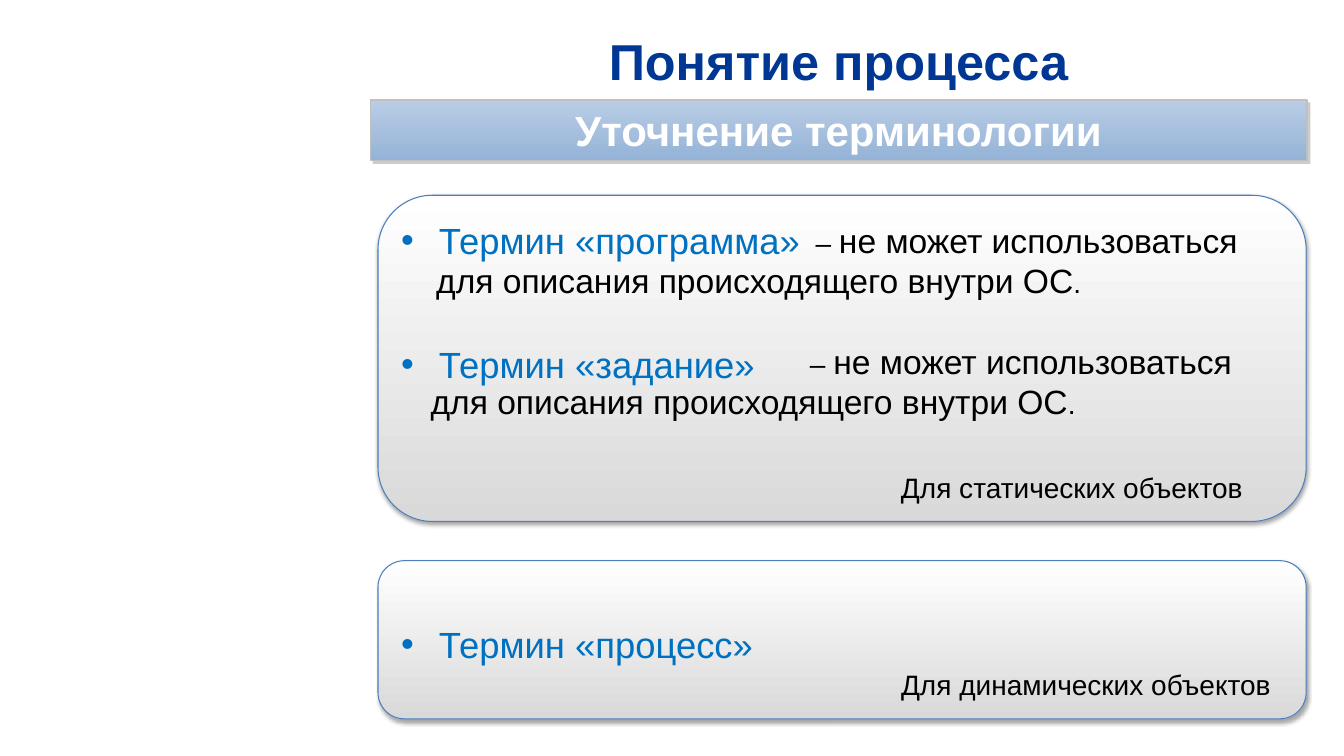
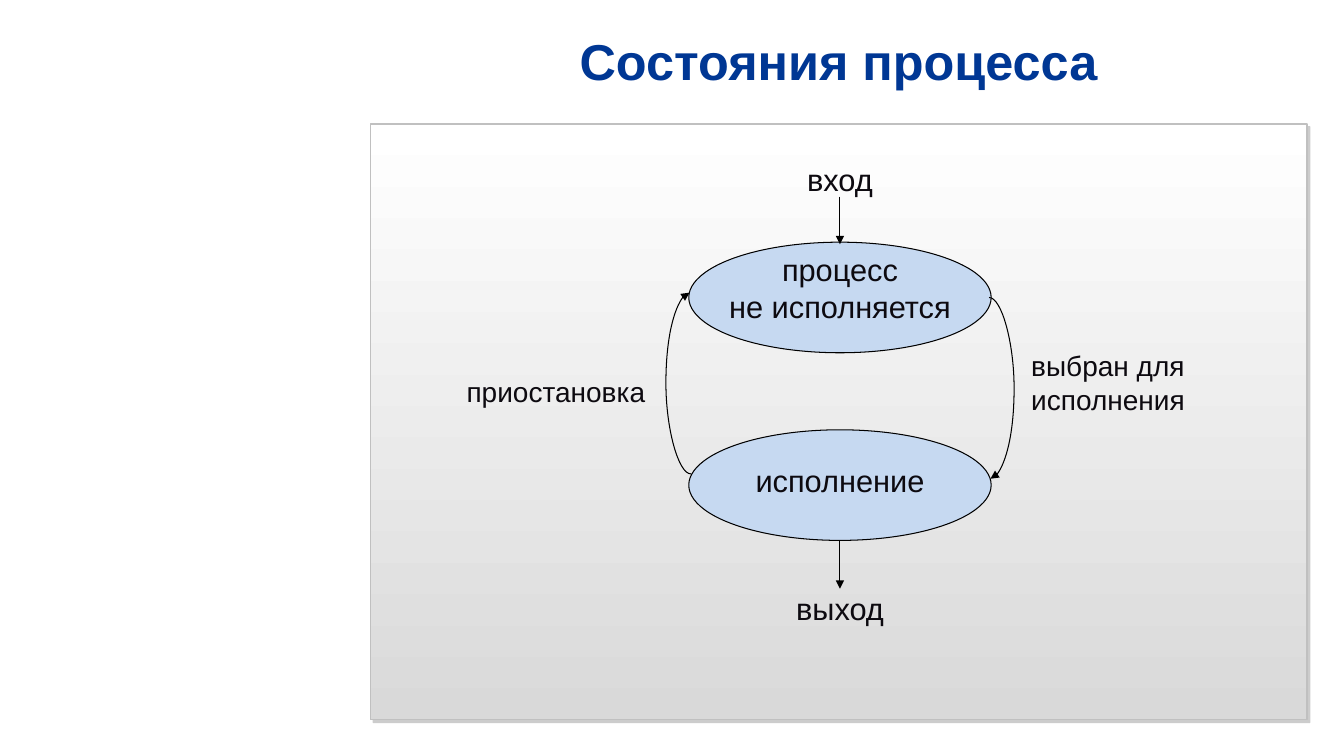
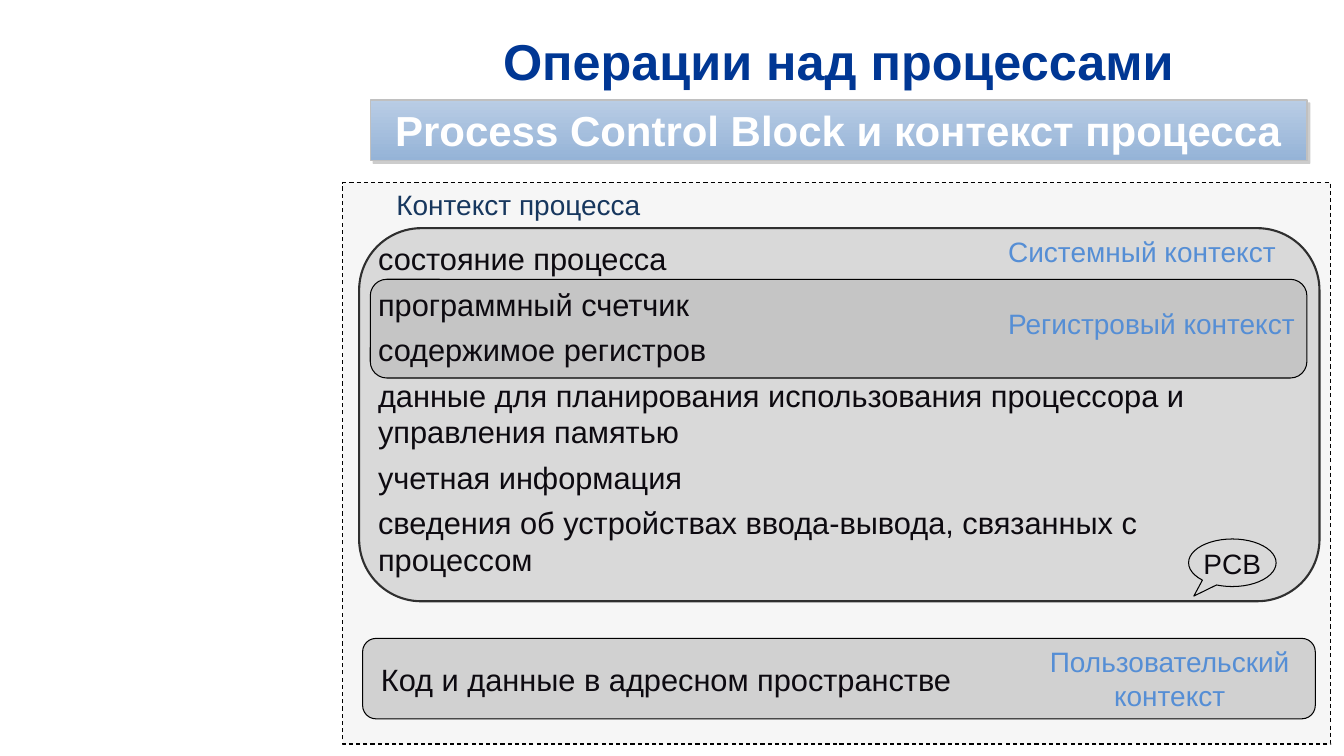
from pptx import Presentation
from pptx.dml.color import RGBColor
from pptx.enum import dml, shapes, text
from pptx.oxml import ns
from pptx.util import Pt
from lxml import etree

COLORS = {
    "title": "003794", "white": "FFFFFF", "black": "000000", "ink": "0D0A10",
    "panel": "D9D9D9", "term": "0070C0", "label": "558ED5", "navy": "17375E",
    "edge": "C0C0C0", "card_edge": "4B7EBC", "shade": "808080",
    "band_top": "B9CDE5", "band_end": "95B3D7", "state": "C6D9F1",
    "registers": "595959",
}
FONT = "Arial"
LEFT, WIDTH = 264.5, 669
CARD_LEFT, CARD_WIDTH = 270, 663
AXIS = 600
SHAPE = shapes.MSO_SHAPE
ALIGN = text.PP_ALIGN
ANCHOR = text.MSO_ANCHOR
PANEL_FILL = ("white", "panel")
# colour, opacity %, blur, distance, angle
HARD_SHADOW = ("shade", 40, 0, 3, 45)
SOFT_SHADOW = ("black", 35, 3.1, 1.8, 90)


def rgb(name):
    return RGBColor.from_string(COLORS[name])


def add_child(parent, tag, **attributes):
    child = etree.SubElement(parent, ns.qn(tag))
    for key, value in attributes.items():
        child.set(key, str(value))
    return child


def write(box, paragraphs, size, color, align=ALIGN.LEFT, bold=False,
          anchor=ANCHOR.TOP, wrap=True, gap=0):
    """Fill a frame; a paragraph is a string or a list of (text, size) runs."""
    frame = box.text_frame
    frame.word_wrap = wrap
    frame.vertical_anchor = anchor
    for index, content in enumerate(paragraphs):
        para = frame.add_paragraph() if index else frame.paragraphs[0]
        para.alignment = align
        if index:
            para.space_before = Pt(gap)
        runs = [(content, size)] if isinstance(content, str) else content
        for words, points in runs:
            span = para.add_run()
            span.text = words
            span.font.name = FONT
            span.font.size = Pt(points)
            span.font.bold = bold
            span.font.color.rgb = rgb(color)
    return frame


def add_text(page, left, top, width, height, paragraphs, size=20, color="ink", **style):
    box = page.shapes.add_textbox(Pt(left), Pt(top), Pt(width), Pt(height))
    return write(box, paragraphs, size, color, **style)


def set_indent(frame, indent, margin=0, bullet=None):
    props = frame.paragraphs[0]._p.get_or_add_pPr()
    props.set("marL", str(Pt(margin)))
    props.set("indent", str(Pt(indent)))
    if bullet:
        add_child(props, "a:buFont", typeface=FONT)
        add_child(props, "a:buChar", char=bullet)


def add_term(page, top, term):
    frame = add_text(page, 279.5, top, 302, 37, [term], 26, "term", wrap=False)
    set_indent(frame, -27, 27, "•")


def add_shape(page, kind, left, top, width, height, fill=None, line="black",
              weight=0.75, opacity=None, dashed=False, shadow=None):
    """Draw a preset shape; a pair of colours as fill makes a vertical gradient."""
    shape = page.shapes.add_shape(kind, Pt(left), Pt(top), Pt(width), Pt(height))
    if fill is None:
        shape.fill.background()
    elif isinstance(fill, tuple):
        shape.fill.gradient()
        shape.fill.gradient_angle = 270
        for stop, position, name in zip(shape.fill.gradient_stops, (0, 1), fill):
            stop.position = position
            stop.color.rgb = rgb(name)
    else:
        shape.fill.solid()
        shape.fill.fore_color.rgb = rgb(fill)
    if opacity is not None:
        solid = shape._element.spPr.find(ns.qn("a:solidFill"))
        add_child(solid[0], "a:alpha", val=opacity * 1000)
    shape.line.color.rgb = rgb(line)
    shape.line.width = Pt(weight)
    if dashed:
        shape.line.dash_style = dml.MSO_LINE.DASH
    shape.shadow.inherit = False
    if shadow:
        add_shadow(shape, *shadow)
    return shape


def add_shadow(shape, color, opacity, blur, distance, angle):
    effects = shape._element.spPr.find(ns.qn("a:effectLst"))
    outer = add_child(effects, "a:outerShdw", blurRad=Pt(blur), dist=Pt(distance),
                      dir=angle * 60000, algn="ctr", rotWithShape=0)
    tint = add_child(outer, "a:srgbClr", val=COLORS[color])
    add_child(tint, "a:alpha", val=opacity * 1000)


def add_arrow(page, kind, start, end):
    arrow = page.shapes.add_connector(kind, *map(Pt, start + end))
    arrow.line.color.rgb = rgb("black")
    arrow.line.width = Pt(0.75)
    add_child(arrow.line._get_or_add_ln(), "a:tailEnd", type="triangle")
    add_child(arrow._element.spPr, "a:effectLst")
    return arrow


def add_loop(page, left, top, height, bulge=18, turned=False):
    """Curved arrow bulging to the right and down, or turned by 180 degrees."""
    arrow = add_arrow(page, shapes.MSO_CONNECTOR.CURVE,
                      (left, top), (left + 1, top + height))
    props = arrow._element.spPr
    geometry = props.find(ns.qn("a:prstGeom"))
    guides = geometry.find(ns.qn("a:avLst"))
    if guides is None:
        guides = add_child(geometry, "a:avLst")
    add_child(guides, "a:gd", name="adj1", fmla=f"val {bulge * 100000}")
    if turned:
        props.find(ns.qn("a:xfrm")).set("rot", str(180 * 60000))


def add_page(deck, title, band=None):
    page = deck.slides.add_slide(deck.slide_layouts[6])
    add_text(page, LEFT, 18.5, WIDTH, 49, [title], 36, "title",
             align=ALIGN.CENTER, bold=True, anchor=ANCHOR.MIDDLE)
    if band:
        box = add_shape(page, SHAPE.RECTANGLE, LEFT, 71.5, WIDTH, 43,
                        ("band_top", "band_end"), "edge", 1, shadow=HARD_SHADOW)
        write(box, [band], 30, "white", align=ALIGN.CENTER, bold=True,
              anchor=ANCHOR.MIDDLE)
    return page


def build_terms(deck):
    page = add_page(deck, "Понятие процесса", "Уточнение терминологии")
    for top, height in ((400.5, 113), (139.5, 233)):
        add_shape(page, SHAPE.ROUNDED_RECTANGLE, CARD_LEFT, top, CARD_WIDTH, height,
                  PANEL_FILL, "card_edge", shadow=SOFT_SHADOW)
    for top, term in ((152.5, "Термин «программа»"), (241, "Термин «задание»"),
                      (441, "Термин «процесс»")):
        add_term(page, top, term)
    remark = [("– ", 20),
              ("не может использоваться для описания происходящего внутри ОС", 24),
              (".", 20)]
    for left, top in ((304.5, 153.5), (300.5, 240)):
        frame = add_text(page, left, top, 618, 65, [remark], color="black")
        set_indent(frame, 271)
    for top, width, note in ((332.5, 266, "Для статических объектов"),
                             (473, 286, "Для динамических объектов")):
        add_text(page, 636.5, top, width, 32, [note], color="black")


def build_states(deck):
    page = add_page(deck, "Состояния процесса")
    add_shape(page, SHAPE.RECTANGLE, LEFT, 88.5, WIDTH, 425.5,
              PANEL_FILL, "edge", 1, shadow=HARD_SHADOW)
    for top in (307, 173):
        add_shape(page, SHAPE.OVAL, AXIS - 108, top, 216, 79, "state")
    for top, width, lines in ((111.5, 148, ["вход"]),
                              (175.5, 190, ["процесс", "не исполняется"]),
                              (326, 170, ["исполнение"]),
                              (417.5, 148, ["выход"])):
        add_text(page, AXIS - width / 2, top, width, 34, lines, 22,
                 align=ALIGN.CENTER)
    for top in (140.5, 386.5):
        add_arrow(page, shapes.MSO_CONNECTOR.STRAIGHT, (AXIS, top), (AXIS, top + 34))
    add_loop(page, 492.5, 209, 129.5, turned=True)
    add_loop(page, 706.5, 212.5, 129.5)
    add_text(page, 309.5, 264, 158.5, 32, ["приостановка"], align=ALIGN.RIGHT)
    add_text(page, 729.5, 245.5, 204, 55, ["выбран для исполнения"])


def build_context(deck):
    page = add_page(deck, "Операции над процессами",
                    "Process Control Block и контекст процесса")
    rounded = SHAPE.ROUNDED_RECTANGLE
    add_shape(page, rounded, 256.5, 163, 686, 266.5, "panel", weight=1.5)
    add_shape(page, SHAPE.RECTANGLE, 245, 130.5, 705.5, 401, "panel",
              opacity=22, dashed=True)
    add_shape(page, rounded, LEFT, 199.5, WIDTH, 70.5, "registers", opacity=15)
    add_shape(page, rounded, 259, 456, 680.5, 57.5, "black", opacity=15)
    add_text(page, 263, 168, 672.5, 218, [
        "состояние процесса",
        "программный счетчик",
        "содержимое регистров",
        "данные для планирования использования процессора и управления памятью",
        "учетная информация",
        "сведения об устройствах ввода-вывода, связанных с процессом",
    ], 22, gap=6)
    add_text(page, 265, 468.5, 635, 34, ["Код и данные в адресном пространстве"], 22)
    add_text(page, 276, 130.5, 221, 32, ["Контекст процесса"], color="navy")
    for top, label in ((164, "Системный контекст"), (215.5, "Регистровый контекст")):
        add_text(page, 713, top, 225, 32, [label], color="label")
    add_text(page, 716.5, 457, 238, 55, ["Пользовательский контекст"],
             color="label", align=ALIGN.CENTER)
    callout = add_shape(page, SHAPE.OVAL_CALLOUT, 849, 385, 62.5, 34)
    callout.adjustments[0], callout.adjustments[1] = -0.44, 0.7
    write(callout, ["PCB"], 20, "ink", align=ALIGN.CENTER,
          anchor=ANCHOR.MIDDLE, wrap=False)


def main():
    deck = Presentation()
    deck.slide_width, deck.slide_height = Pt(960), Pt(540)
    build_terms(deck)
    build_states(deck)
    build_context(deck)
    deck.save("out.pptx")


if __name__ == "__main__":
    main()
